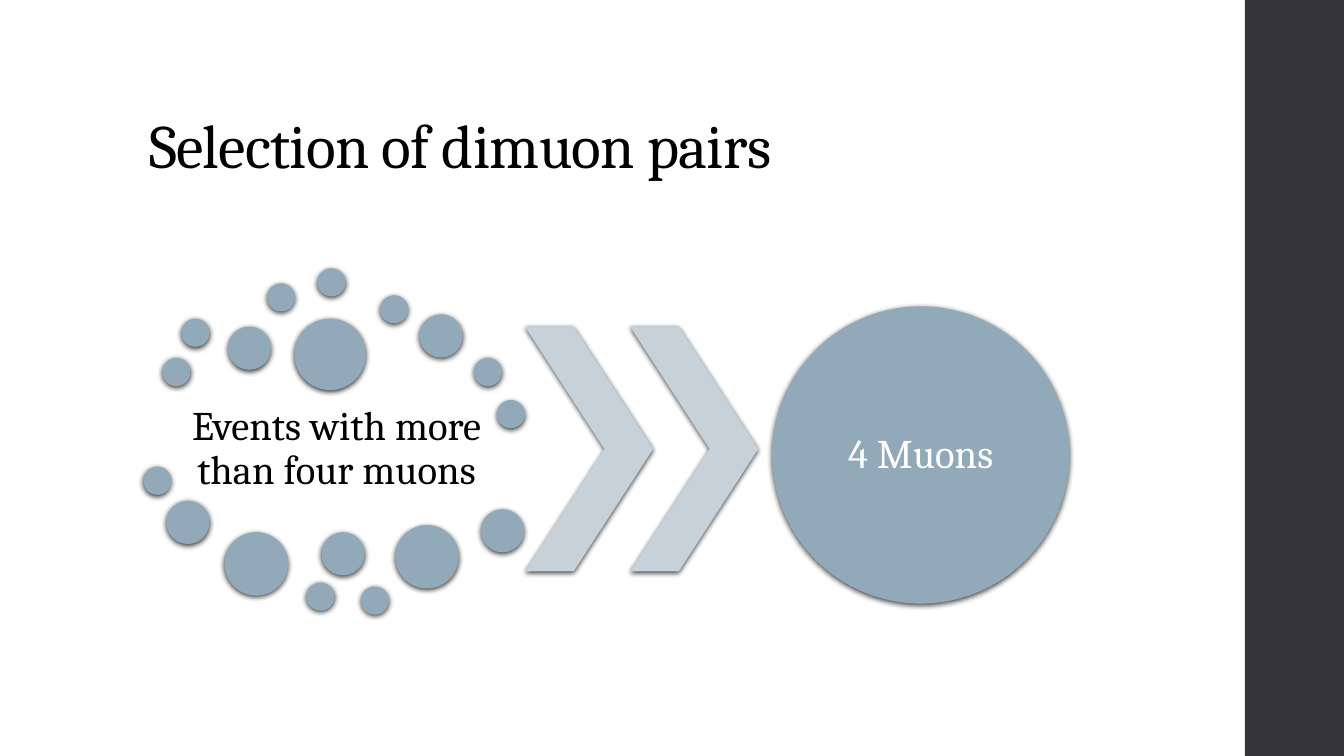
from pptx import Presentation
from pptx.dml.color import RGBColor
from pptx.enum.shapes import MSO_SHAPE
from pptx.enum.text import MSO_ANCHOR, MSO_AUTO_SIZE, PP_ALIGN
from pptx.oxml import parse_xml
from pptx.oxml.ns import nsdecls
from pptx.util import Cm, Pt

COLORS = {
    "bar": "353537",
    "circle": "92A9B9",
    "chevron": "C7D1D9",
    "dark": "000000",
    "light": "FFFFFF",
}
DOTS = {
    0.71: [(4.09, 9.02), (4.57, 8.03), (6.73, 7.14), (8, 6.76), (9.58, 7.44),
           (11.94, 9.02), (12.52, 10.08), (3.61, 11.76), (7.72, 14.68), (9.09, 14.78)],
    1.09: [(5.74, 8.23), (10.57, 7.92), (4.19, 12.62), (8.1, 13.41), (12.12, 12.83)],
    1.6: [(5.66, 13.41), (9.96, 13.23)],
    1.8: [(7.42, 8.03)],
}


class SlideBuilder:
    """Draws styled elements on the current slide."""

    font = "Cambria"

    def __init__(self, prs):
        self.s = prs.slides.add_slide(prs.slide_layouts[5])

    def set_text(self, sp, text, size, color, align, anchor, inset_x, inset_y):
        tf = sp.text_frame
        tf.text = text
        tf.word_wrap = True
        tf.auto_size = MSO_AUTO_SIZE.NONE
        tf.vertical_anchor = anchor
        tf.margin_left = tf.margin_right = Cm(inset_x)
        tf.margin_top = tf.margin_bottom = Cm(inset_y)
        p = tf.paragraphs[0]
        p.alignment = align
        p.line_spacing = 0.9
        p.font.name = self.font
        p.font.size = Pt(size)
        p.font.color.rgb = RGBColor.from_string(COLORS[color])
        return p

    def title(self, text, x, y, w, h):
        sp = self.s.shapes.title
        sp.left, sp.top, sp.width, sp.height = Cm(x), Cm(y), Cm(w), Cm(h)
        p = self.set_text(sp, text, 44, "dark", PP_ALIGN.LEFT, MSO_ANCHOR.BOTTOM, 0.25, 0.13)
        p.runs[0].font._element.set("spc", "-50")

    def label(self, sp, text, color, inset=0):
        self.set_text(sp, text, 29, color, PP_ALIGN.CENTER, MSO_ANCHOR.MIDDLE, inset, inset)

    def text(self, text, x, y, w, h):
        sp = self.s.shapes.add_textbox(Cm(x), Cm(y), Cm(w), Cm(h))
        self.label(sp, text, "dark", 0.1)

    def shape(self, kind, color, x, y, w, h, shadow=True):
        sp = self.s.shapes.add_shape(kind, Cm(x), Cm(y), Cm(w), Cm(h))
        sp.fill.solid()
        sp.fill.fore_color.rgb = RGBColor.from_string(COLORS[color])
        sp.line.fill.background()
        sp.shadow.inherit = False
        if shadow:
            sp._element.spPr.find("{*}effectLst").append(parse_xml(
                f'<a:outerShdw {nsdecls("a")} blurRad="{Pt(4)}" dist="{Pt(1.2)}" '
                f'dir="5400000" algn="ctr" rotWithShape="0"><a:srgbClr val="{COLORS["dark"]}">'
                '<a:alpha val="75000"/></a:srgbClr></a:outerShdw>'))
        return sp

    def circle(self, x, y, size):
        return self.shape(MSO_SHAPE.OVAL, "circle", x, y, size, size)

    def chevron(self, x, y, w, h):
        self.shape(MSO_SHAPE.CHEVRON, "chevron", x, y, w, h).adjustments[0] = 0.62


def main():
    prs = Presentation()
    prs.slide_width, prs.slide_height = Cm(33.87), Cm(19.05)
    slide = SlideBuilder(prs)
    slide.shape(MSO_SHAPE.RECTANGLE, "bar", 31.37, 0, 2.5, 19.05, shadow=False)
    slide.title("Selection of dimuon pairs", 3.51, 1.02, 26.92, 3.68)
    slide.text("Events with more than four muons", 4.09, 9.88, 8.79, 2.9)
    for size, places in DOTS.items():
        for x, y in places:
            slide.circle(x, y, size)
    for i in range(2):
        slide.chevron(13.23 + 2.65 * i, 8.23, 3.23, 6.17)
    slide.label(slide.circle(19.46, 7.72, 7.49), "4 Muons", "light")
    prs.save("out.pptx")


if __name__ == "__main__":
    main()
